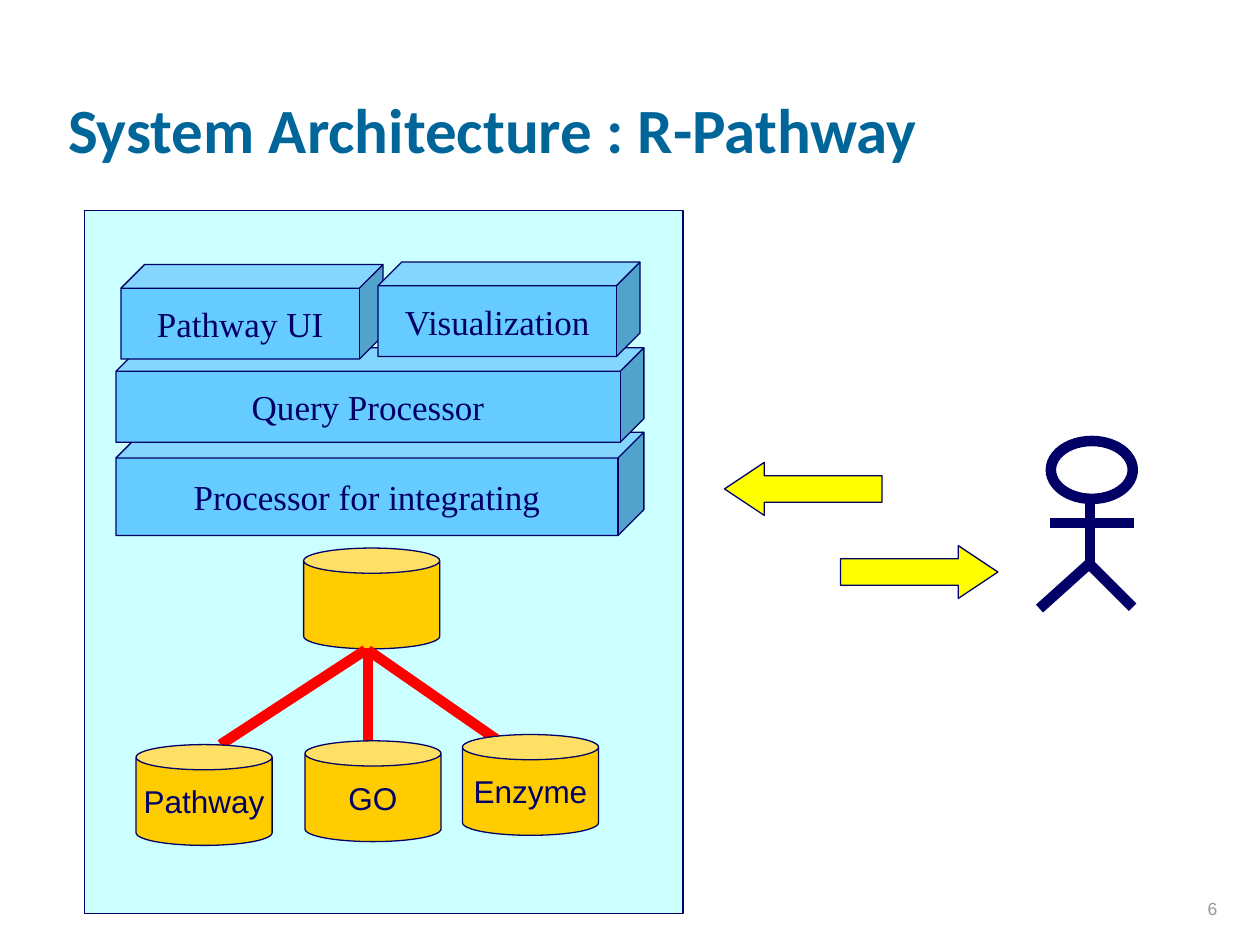
from dataclasses import dataclass

from lxml import etree
from pptx import Presentation
from pptx.dml.color import RGBColor
from pptx.enum.shapes import MSO_CONNECTOR, MSO_SHAPE
from pptx.enum.text import MSO_ANCHOR, PP_ALIGN
from pptx.oxml.ns import qn
from pptx.util import Inches, Pt

CUBE, CAN, ARROW = MSO_SHAPE.CUBE, MSO_SHAPE.CAN, MSO_SHAPE.RIGHT_ARROW
RECTANGLE, OVAL = MSO_SHAPE.RECTANGLE, MSO_SHAPE.OVAL
STRAIGHT = MSO_CONNECTOR.STRAIGHT
LEFT, CENTER, RIGHT = PP_ALIGN.LEFT, PP_ALIGN.CENTER, PP_ALIGN.RIGHT
MIDDLE, BOTTOM = MSO_ANCHOR.MIDDLE, MSO_ANCHOR.BOTTOM

COLORS = {
    "title": "006699",
    "ink": "000066",
    "system": "CCFFFF",
    "module": "66CCFF",
    "database": "FFCC00",
    "link": "FF0000",
    "flow": "FFFF00",
    "number": "969696",
}


@dataclass
class Block:
    left: float
    top: float
    width: float
    height: float
    label: str = ""


@dataclass
class Stroke:
    x1: float
    y1: float
    x2: float
    y2: float


SYSTEM = Block(0.67, 1.67, 4.75, 5.58)
MODULES = [
    Block(0.92, 3.43, 4.19, 0.82, "Processor for integrating"),
    Block(0.92, 2.76, 4.19, 0.75, "Query Processor"),
    Block(0.96, 2.1, 2.08, 0.75, "Pathway UI"),
    Block(3, 2.08, 2.08, 0.75, "Visualization"),
]
CAN_SIZE = (1.08, 0.8)
INTEGRATED = Block(2.41, 4.35, *CAN_SIZE)
SOURCES = [
    Block(1.08, 5.91, *CAN_SIZE, "Pathway"),
    Block(2.42, 5.88, *CAN_SIZE, "GO"),
    Block(3.67, 5.83, *CAN_SIZE, "Enzyme"),
]
LINKS = [
    Stroke(2.9, 5.16, 1.75, 5.91),
    Stroke(2.92, 5.14, 2.92, 6),
    Stroke(2.92, 5.16, 4, 5.91),
]
RESPONSE = Block(5.75, 3.67, 1.25, 0.42)
REQUEST = Block(6.67, 4.33, 1.25, 0.42)
USER_HEAD = Block(8.34, 3.5, 0.65, 0.46)
USER_LIMBS = [
    Stroke(8.65, 3.96, 8.65, 4.51),
    Stroke(9, 4.15, 8.33, 4.15),
    Stroke(8.25, 4.83, 8.65, 4.47),
    Stroke(8.99, 4.82, 8.66, 4.49),
]


def rgb(color: str) -> RGBColor:
    return RGBColor.from_string(COLORS[color])


def write(frame, text: str, *, font: str, size: float, color: str = "ink",
          bold: bool = False, align=CENTER, anchor=MIDDLE, wrap: bool = False) -> None:
    frame.word_wrap = wrap
    frame.vertical_anchor = anchor
    frame.margin_left = frame.margin_right = Inches(0.1)
    frame.margin_top = frame.margin_bottom = Inches(0.05)
    frame.text = text
    paragraph = frame.paragraphs[0]
    paragraph.alignment = align
    paragraph.font.name = font
    paragraph.font.size = Pt(size)
    paragraph.font.bold = bold
    paragraph.font.color.rgb = rgb(color)


def draw_block(shapes, block: Block, preset, fill: str = "", line_width: float = 0.75,
               font: str = "Arial", size: float = 18):
    shape = shapes.add_shape(preset, Inches(block.left), Inches(block.top),
                             Inches(block.width), Inches(block.height))
    shape.shadow.inherit = False
    if fill:
        shape.fill.solid()
        shape.fill.fore_color.rgb = rgb(fill)
    else:
        shape.fill.background()
    shape.line.color.rgb = rgb("ink")
    shape.line.width = Pt(line_width)
    if block.label:
        write(shape.text_frame, block.label, font=font, size=size)
    return shape


def draw_stroke(shapes, stroke: Stroke, color: str) -> None:
    connector = shapes.add_connector(STRAIGHT, Inches(stroke.x1), Inches(stroke.y1),
                                     Inches(stroke.x2), Inches(stroke.y2))
    connector.line.color.rgb = rgb(color)
    connector.line.width = Pt(6)
    etree.SubElement(connector._element.spPr, qn("a:effectLst"))


def draw_flow(shapes, block: Block, rotation: float = 0) -> None:
    arrow = draw_block(shapes, block, ARROW, "flow")
    arrow.adjustments[0] = 0.5
    arrow.adjustments[1] = 0.75
    arrow.rotation = rotation


def draw_user(shapes) -> None:
    user = shapes.add_group_shape().shapes
    draw_block(user, USER_HEAD, OVAL, line_width=6)
    for limb in USER_LIMBS:
        draw_stroke(user, limb, "ink")


def main() -> None:
    deck = Presentation()
    deck.slide_width, deck.slide_height = Inches(10), Inches(7.5)
    slide = deck.slides.add_slide(deck.slide_layouts[5])
    shapes = slide.shapes

    title = shapes.title
    title.left, title.top = Inches(0.44), Inches(0.12)
    title.width, title.height = Inches(8.5), Inches(1.25)
    write(title.text_frame, "System Architecture : R-Pathway", font="Calibri", size=36,
          color="title", bold=True, align=LEFT, anchor=BOTTOM, wrap=True)

    draw_block(shapes, SYSTEM, RECTANGLE, "system")
    for module in MODULES:
        draw_block(shapes, module, CUBE, "module", font="Times New Roman", size=20)
    draw_block(shapes, INTEGRATED, CAN, "database")
    for link in LINKS:
        draw_stroke(shapes, link, "link")
    for source in SOURCES:
        draw_block(shapes, source, CAN, "database")

    draw_user(shapes)
    draw_flow(shapes, RESPONSE, 180)
    draw_flow(shapes, REQUEST)

    number = shapes.add_textbox(Inches(7.68), Inches(6.84), Inches(2.08), Inches(0.5))
    write(number.text_frame, "6", font="Arial", size=10, color="number",
          align=RIGHT, anchor=BOTTOM, wrap=True)

    deck.save("out.pptx")


if __name__ == "__main__":
    main()
